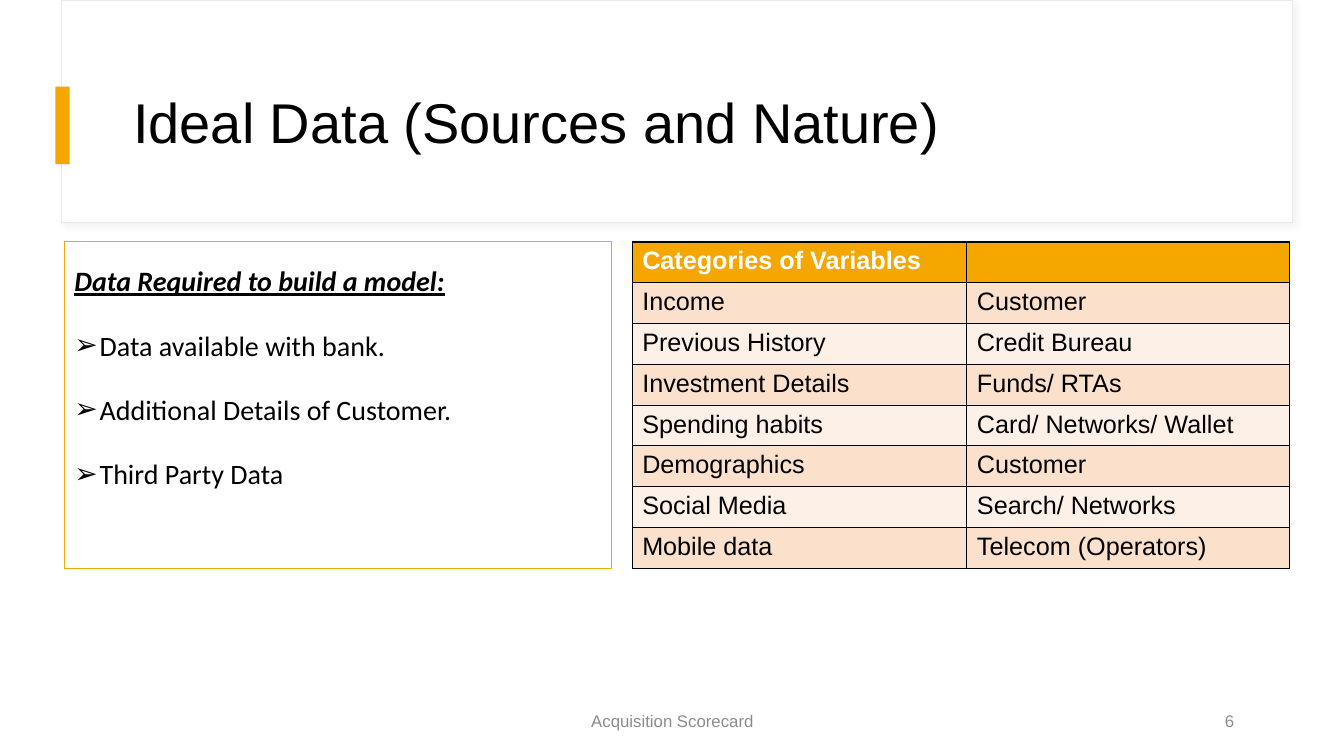
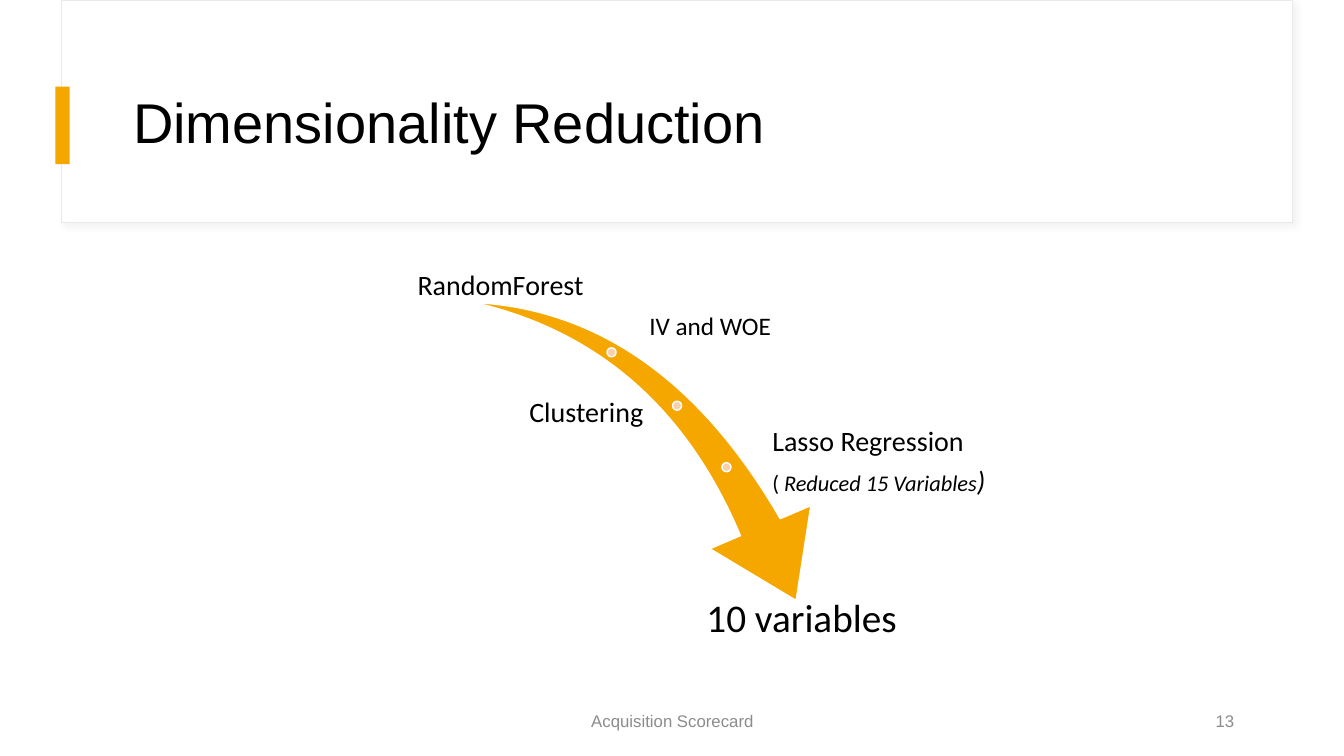
from lxml import etree
from pptx import Presentation
from pptx import util as u
from pptx.dml.color import RGBColor
from pptx.enum import shapes, text
from pptx.oxml import parse_xml

NS = 'xmlns:a="http://schemas.openxmlformats.org/drawingml/2006/main"'
A = "{http://schemas.openxmlformats.org/drawingml/2006/main}"
AMBER, WHITE, BLACK, GREY = "F5A700", "FFFFFF", "000000", "8C8C8C"
EDGE, PEACH, CREAM, DOT = "E9E9E9", "FBE1CC", "FDF1E7", "F9D0AB"
HEADING, BODY = "Arial", "Calibri"
SHAPE, ALIGN, ANCHOR = shapes.MSO_SHAPE, text.PP_ALIGN, text.MSO_ANCHOR


def add_block(slide, kind, box, fill=None, line=None, width=0.75):
    """Add a preset shape at box (inches), without shadow."""
    block = slide.shapes.add_shape(kind, *map(u.Inches, box))
    block.shadow.inherit = False
    for part, colour in ((block.fill, fill), (block.line.fill, line)):
        if colour:
            part.solid()
            part.fore_color.rgb = RGBColor.from_string(colour)
        else:
            part.background()
    if line:
        block.line.width = u.Pt(width)
    return block


def write(paragraph, words, size, font=BODY, colour=BLACK, align=ALIGN.LEFT,
          bold=False, italic=False, underline=False):
    """Append one formatted run to a paragraph and align it."""
    paragraph.alignment = align
    run = paragraph.add_run()
    run.text = words
    run.font.size, run.font.name = u.Pt(size), font
    run.font.bold, run.font.italic, run.font.underline = bold, italic, underline
    run.font.color.rgb = RGBColor.from_string(colour)


prs = Presentation()
prs.slide_width, prs.slide_height = u.Inches(13.33), u.Inches(7.5)

# Frame shared by both slides: header band, accent, title and footer
pages = []
for heading, number in (("Ideal Data (Sources and Nature)", "6"),
                        ("Dimensionality Reduction", "13")):
    slide = prs.slides.add_slide(prs.slide_layouts[5])
    pages.append(slide)
    band = add_block(slide, SHAPE.RECTANGLE, (0.61, 0, 12.21, 2.21), WHITE, EDGE)
    effects = band.element.spPr.find(A + "effectLst")
    effects.append(parse_xml(
        f'<a:outerShdw {NS} blurRad="50800" dist="38100" dir="2700000" algn="tl" '
        'rotWithShape="0"><a:srgbClr val="D9D9D9"><a:alpha val="30000"/>'
        '</a:srgbClr></a:outerShdw>'))
    add_block(slide, SHAPE.RECTANGLE, (0.55, 0.86, 0.14, 0.77), AMBER)

    title = slide.shapes.title
    band.element.getparent().append(title.element)  # bring above the band
    title.left, title.top = u.Inches(1.22), u.Inches(0.6)
    title.width, title.height = u.Inches(11.12), u.Inches(1.29)
    title.text_frame.vertical_anchor = ANCHOR.MIDDLE
    title.text_frame.paragraphs[0].line_spacing = 0.9
    write(title.text_frame.paragraphs[0], heading, 40, HEADING)

    for words, left, width, align in (
            ("Acquisition Scorecard", 4.42, 4.5, ALIGN.CENTER),
            (number, 9.34, 3, ALIGN.RIGHT)):
        footer = slide.shapes.add_textbox(
            *map(u.Inches, (left, 6.95, width, 0.4))).text_frame
        footer.word_wrap = True
        footer.vertical_anchor = ANCHOR.MIDDLE
        write(footer.paragraphs[0], words, 12, HEADING, GREY, align)
data_slide, reduction_slide = pages

# Ideal data: requirements on the left
needs = add_block(data_slide, SHAPE.RECTANGLE, (0.64, 2.4, 5.43, 3.24),
                  line=AMBER).text_frame
needs.word_wrap = True
needs.vertical_anchor = ANCHOR.TOP
requirements = ["Data Required to build a model:", "Data available with bank. ",
                "Additional Details of Customer.", "Third Party Data"]
for i, words in enumerate(requirements):
    paragraph = needs.add_paragraph() if i else needs.paragraphs[0]
    paragraph.line_spacing, paragraph.space_before = 1.5, u.Pt(10)
    lead = i == 0
    write(paragraph, words, 20, bold=lead, italic=lead, underline=lead)
    if not lead:
        properties = paragraph._p.get_or_add_pPr()
        properties.set("marL", str(u.Inches(0.25)))
        properties.set("indent", str(-u.Inches(0.25)))
        etree.SubElement(properties, A + "buFont", typeface="Arial")
        etree.SubElement(properties, A + "buChar", char="\u27a2")

# Ideal data: variable categories and their sources
variables = [
    ("Categories of Variables", ""),
    ("Income", "Customer"),
    ("Previous History", "Credit Bureau"),
    ("Investment Details", "Funds/ RTAs"),
    ("Spending habits", "Card/ Networks/ Wallet"),
    ("Demographics", "Customer"),
    ("Social Media", "Search/ Networks"),
    ("Mobile data ", "Telecom (Operators)"),
]
table = data_slide.shapes.add_table(
    len(variables), 2, *map(u.Inches, (6.27, 2.4, 6.52, 3.24))).table
for column, width in zip(table.columns, (3.32, 3.2)):
    column.width = u.Inches(width)
for r, entries in enumerate(variables):
    header = r == 0
    for c, words in enumerate(entries):
        cell = table.cell(r, c)
        for side in ("lnL", "lnR", "lnT", "lnB"):
            cell._tc.get_or_add_tcPr().append(parse_xml(
                f'<a:{side} {NS} w="12700"><a:solidFill><a:srgbClr val="{BLACK}"/>'
                f'</a:solidFill></a:{side}>'))
        cell.fill.solid()
        cell.fill.fore_color.rgb = RGBColor.from_string(
            AMBER if header else PEACH if r % 2 else CREAM)
        if words:
            write(cell.text_frame.paragraphs[0], words, 18, HEADING,
                  WHITE if header else BLACK, bold=header)

# Dimensionality reduction: arrow with its milestones
arrow = add_block(reduction_slide, SHAPE.SWOOSH_ARROW, (4.62, 3.11, 3.75, 2.62),
                  AMBER, WHITE, 1)
arrow.rotation = 73.3
arrow.adjustments[0], arrow.adjustments[1] = 0.163, 0.314
for left, top in ((6.02, 3.45), (6.67, 3.98), (7.16, 4.59)):
    add_block(reduction_slide, SHAPE.OVAL, (left, top, 0.09, 0.09), DOT, WHITE, 1)

# Each step: box, anchor, alignment, inset, paragraphs of (words, size, italic)
steps = [
    ((3.26, 2.52, 3.41, 0.5), ANCHOR.BOTTOM, ALIGN.CENTER, 0.03,
     [[("RandomForest", 20, False)]]),
    ((6.41, 2.9, 2.58, 0.7), ANCHOR.MIDDLE, ALIGN.LEFT, 0.03,
     [[("IV and WOE ", 18, False)]]),
    ((4.97, 3.75, 1.69, 0.7), ANCHOR.MIDDLE, ALIGN.CENTER, 0.03,
     [[("Clustering", 20, False)]]),
    ((7.63, 4.24, 2.86, 0.7), ANCHOR.MIDDLE, ALIGN.LEFT, 0.03,
     [[("Lasso Regression", 20, False)],
      [("( ", 16, False), ("Reduced 15 Variables", 16, True), (")", 20, True)]]),
    ((6.42, 5.9, 3.06, 0.7), ANCHOR.TOP, ALIGN.CENTER, 0.04,
     [[(" 10 variables ", 28, False)]]),
]
for box, anchor, align, inset, lines in steps:
    label = reduction_slide.shapes.add_textbox(*map(u.Inches, box)).text_frame
    label.word_wrap = True
    label.vertical_anchor = anchor
    label.margin_left = label.margin_right = u.Inches(inset)
    label.margin_top = label.margin_bottom = u.Inches(inset)
    for i, runs in enumerate(lines):
        paragraph = label.add_paragraph() if i else label.paragraphs[0]
        paragraph.line_spacing = 0.9
        paragraph.space_after = u.Pt(7)
        for words, size, italic in runs:
            write(paragraph, words, size, align=align, italic=italic)

prs.save("out.pptx")
